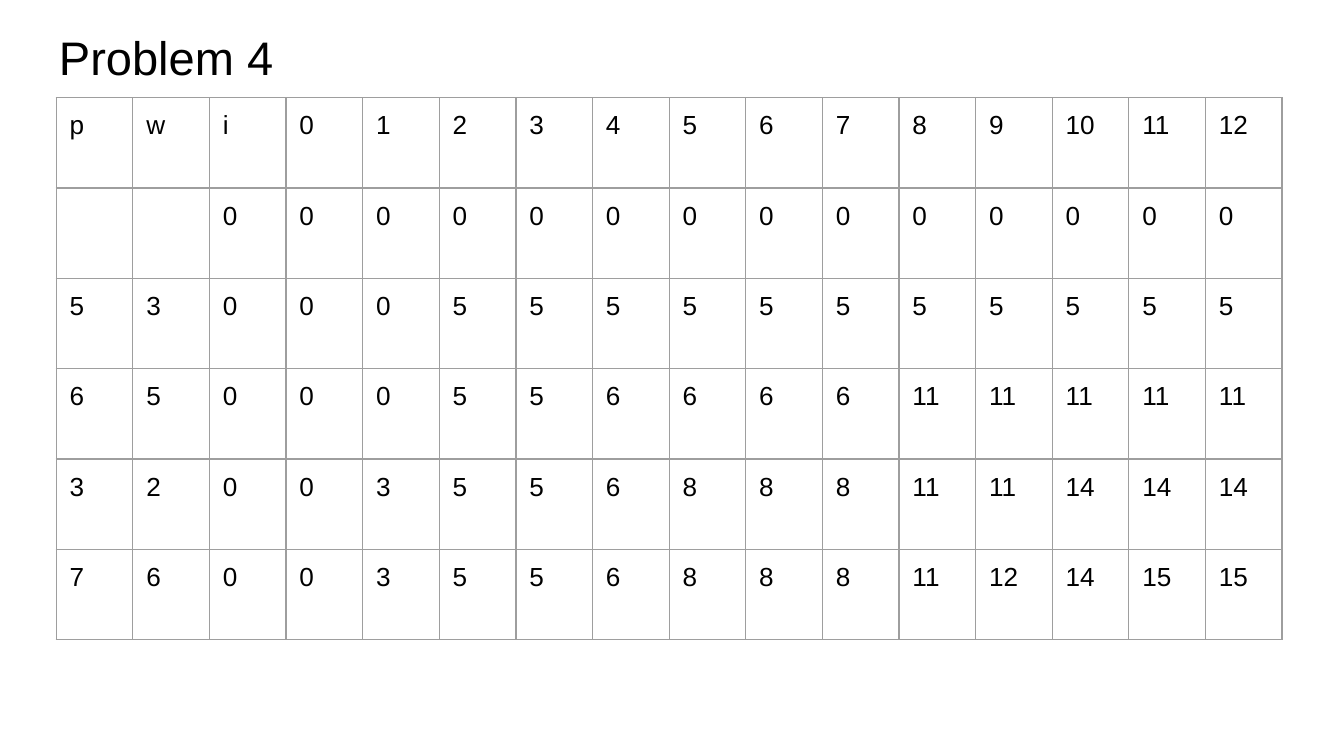
from lxml.etree import SubElement
from pptx import Presentation
from pptx.dml.color import RGBColor
from pptx.oxml.ns import qn
from pptx.util import Pt

INK = "000000"
RULE = "9E9E9E"
PAD = 7.2
ROWS = [
    ["p", "w", "i", *range(13)],
    ["", ""] + [0] * 14,
    [5, 3] + [0] * 3 + [5] * 11,
    [6, 5] + [0] * 3 + [5] * 2 + [6] * 4 + [11] * 5,
    [3, 2, 0, 0, 3, 5, 5, 6, 8, 8, 8, 11, 11, 14, 14, 14],
    [7, 6, 0, 0, 3, 5, 5, 6, 8, 8, 8, 11, 12, 14, 15, 15],
]


def color(code):
    return RGBColor.from_string(code)


def write(frame, text, size=14, font="Arial", ink=INK):
    frame.word_wrap = True
    run = frame.paragraphs[0].add_run()
    run.text = str(text)
    run.font.size = Pt(size)
    run.font.name = font
    run.font.color.rgb = color(ink)


def pad(item, top=PAD, bottom=PAD):
    item.margin_left = item.margin_right = Pt(PAD)
    item.margin_top = Pt(top)
    item.margin_bottom = Pt(bottom)


def border(cell, code=RULE, width=0.75):
    props = cell._tc.get_or_add_tcPr()
    for at, side in enumerate(("lnL", "lnR", "lnT", "lnB")):
        line = props.makeelement(qn(f"a:{side}"), {"w": str(Pt(width))})
        fill = SubElement(line, qn("a:solidFill"))
        SubElement(fill, qn("a:srgbClr"), val=code)
        props.insert(at, line)


def title(slide, text):
    frame = slide.shapes.add_textbox(Pt(24.5), Pt(5), Pt(671), Pt(39.6)).text_frame
    pad(frame, top=10.4, bottom=0)
    write(frame, text, size=25.2)


def grid(slide, rows, left, top, wide, high):
    count = len(rows[0])
    table = slide.shapes.add_table(
        len(rows), count, Pt(left), Pt(top), Pt(wide * count), Pt(high * len(rows))
    ).table
    table.first_row = table.horz_banding = False
    for col in table.columns:
        col.width = Pt(wide)
    for row, values in zip(table.rows, rows):
        row.height = Pt(high)
        for cell, value in zip(row.cells, values):
            cell.fill.background()
            pad(cell)
            border(cell)
            if value != "":
                write(cell.text_frame, value)


def main():
    deck = Presentation()
    deck.slide_width, deck.slide_height = Pt(720), Pt(405)
    slide = deck.slides.add_slide(deck.slide_layouts[6])
    title(slide, "Problem 4")
    grid(slide, ROWS, left=30.1, top=52.3, wide=41.07, high=48.4)
    deck.save("out.pptx")


if __name__ == "__main__":
    main()
